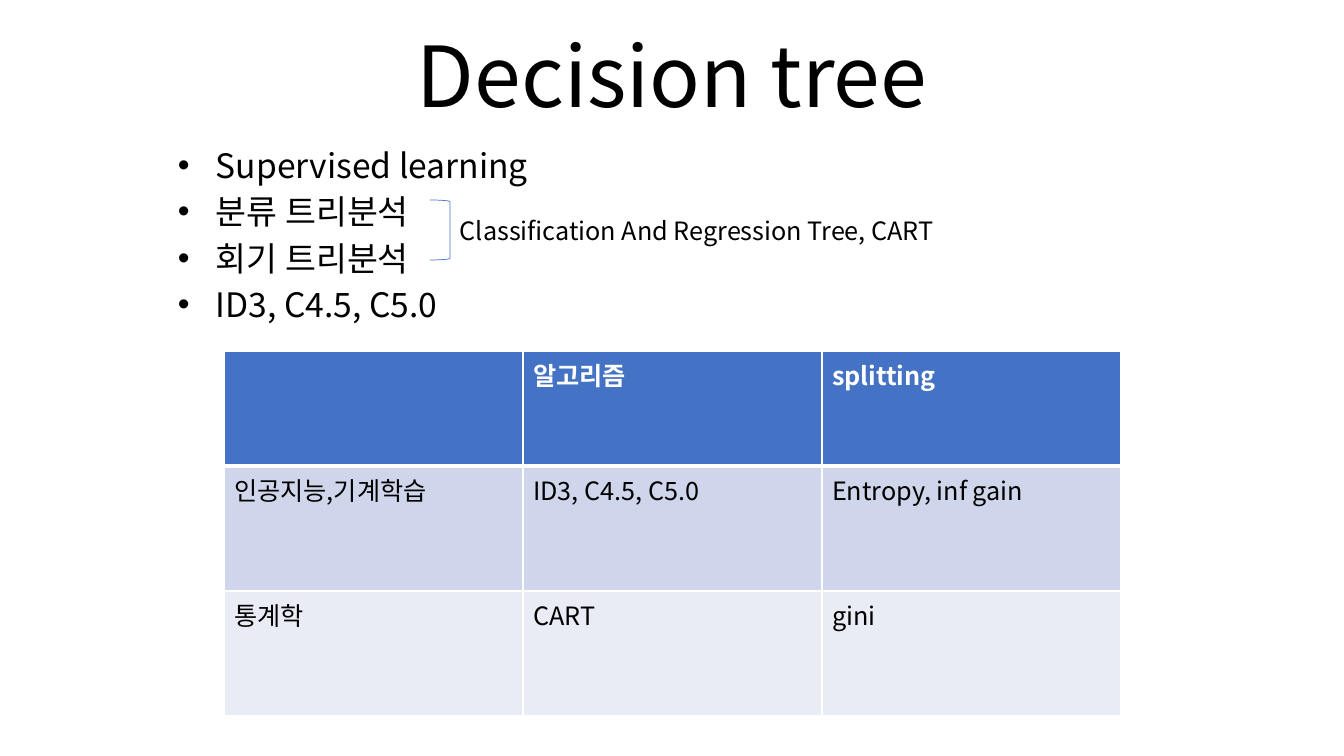
from lxml import etree
from pptx import Presentation
from pptx import util as u
from pptx.dml.color import RGBColor
from pptx.enum import shapes, text
from pptx.oxml import ns

# Content
TITLE = "Decision tree"
POINTS = ["Supervised learning", "분류 트리분석", "회기 트리분석", "ID3, C4.5, C5.0"]
CART_NOTE = "Classification And Regression Tree, CART"
METHODS = [
    ["", "알고리즘", "splitting"],
    ["인공지능,기계학습", "ID3, C4.5, C5.0", "Entropy, inf gain"],
    ["통계학", "CART", "gini"],
]

# Layout in px: left, top, width, height
SLIDE = (1344, 756)
TITLE_BOX = (168, -132, 1008, 263)
POINTS_BOX = (168, 148, 1008, 182)
BRACKET_BOX = (430, 200, 20, 60)
NOTE_BOX = (450, 210, 498, 40)
TABLE_LEFT, TABLE_TOP, COL_W = 224, 351, 299
ROW_H = [115, 125, 125]
BULLET_INDENT = 38

THEME = {
    "font": "Noto Sans CJK KR",
    "black": "000000", "white": "FFFFFF", "accent": "4472C4",
    "row_fills": ["4472C4", "CFD5EA", "E9EBF5"],
    "title": 60, "body": 24, "small": 18,
    "bracket": 0.5, "border": 1, "header_border": 3,
}


def px(n):
    return u.Inches(n / 100.8)


def rgb(name):
    return RGBColor.from_string(THEME.get(name, name))


def add_xml(parent, tag, **attrs):
    return etree.SubElement(parent, ns.qn(tag), attrs)


def write(p, words, size, color="black", bold=False, **para):
    for name, value in para.items():
        setattr(p, name, value)
    r = p.add_run()
    r.text = words
    for name, value in {"size": u.Pt(THEME[size]), "name": THEME["font"], "bold": bold}.items():
        setattr(r.font, name, value)
    r.font.color.rgb = rgb(color)
    add_xml(r.font._element, "a:ea", typeface=THEME["font"])


def add_text(s, box, **frame):
    tf = s.shapes.add_textbox(*map(px, box)).text_frame
    for name, value in {"word_wrap": True, **frame}.items():
        setattr(tf, name, value)
    return tf


def add_bullet(p):
    pPr = p._p.get_or_add_pPr()
    pPr.set("marL", str(px(BULLET_INDENT)))
    pPr.set("indent", str(-px(BULLET_INDENT)))
    add_xml(pPr, "a:buFont", typeface="Arial")
    add_xml(pPr, "a:buChar", char="•")


def add_borders(cell, row):
    tcPr = cell._tc.get_or_add_tcPr()
    widths = dict.fromkeys("LRTB", THEME["border"])
    if row < 2:
        widths["B" if row == 0 else "T"] = THEME["header_border"]
    for side, width in widths.items():
        ln = add_xml(tcPr, f"a:ln{side}", w=str(u.Pt(width)))
        add_xml(add_xml(ln, "a:solidFill"), "a:srgbClr", val=THEME["white"])


def main():
    prs = Presentation()
    prs.slide_width, prs.slide_height = map(px, SLIDE)
    s = prs.slides.add_slide(prs.slide_layouts[6])

    # Title
    tf = add_text(s, TITLE_BOX, vertical_anchor=text.MSO_ANCHOR.BOTTOM)
    write(tf.paragraphs[0], TITLE, "title", alignment=text.PP_ALIGN.CENTER, line_spacing=0.9)

    # Bullet points
    tf = add_text(s, POINTS_BOX)
    for i, point in enumerate(POINTS):
        p = tf.add_paragraph() if i else tf.paragraphs[0]
        write(p, point, "body", line_spacing=0.8, space_before=u.Pt(10))
        add_bullet(p)

    # Bracket joining the two tree types, with its note
    sp = s.shapes.add_shape(shapes.MSO_SHAPE.RIGHT_BRACKET, *map(px, BRACKET_BOX))
    sp.shadow.inherit = False
    sp.fill.background()
    sp.line.color.rgb = rgb("accent")
    sp.line.width = u.Pt(THEME["bracket"])
    tf = add_text(s, NOTE_BOX, word_wrap=False, auto_size=text.MSO_AUTO_SIZE.SHAPE_TO_FIT_TEXT)
    write(tf.paragraphs[0], CART_NOTE, "small")

    # Table of methods
    cols = len(METHODS[0])
    table = s.shapes.add_table(len(METHODS), cols, px(TABLE_LEFT), px(TABLE_TOP),
                               px(COL_W * cols), px(sum(ROW_H))).table
    for col in table.columns:
        col.width = px(COL_W)
    for i, (row, height) in enumerate(zip(METHODS, ROW_H)):
        table.rows[i].height = px(height)
        for j, words in enumerate(row):
            cell = table.cell(i, j)
            add_borders(cell, i)
            cell.fill.solid()
            cell.fill.fore_color.rgb = rgb(THEME["row_fills"][i])
            if words:
                write(cell.text_frame.paragraphs[0], words, "small",
                      "black" if i else "white", bold=i == 0)

    prs.save("out.pptx")


if __name__ == "__main__":
    main()
